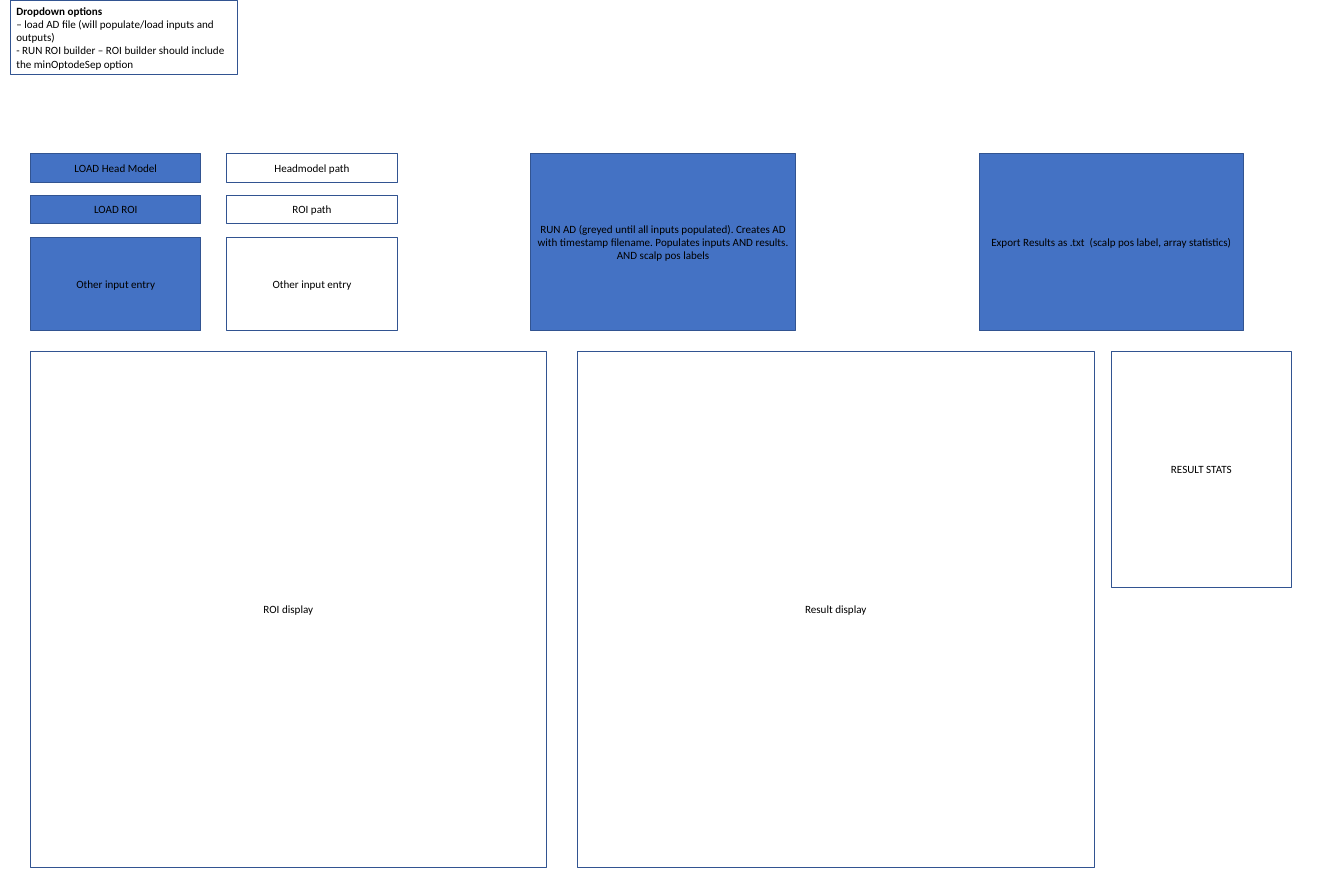
from dataclasses import dataclass

from pptx import Presentation
from pptx.dml.color import RGBColor
from pptx.enum.shapes import MSO_SHAPE
from pptx.enum.text import MSO_ANCHOR, PP_ALIGN
from pptx.slide import Slide
from pptx.util import Cm, Pt

RECTANGLE = MSO_SHAPE.RECTANGLE
MIDDLE = MSO_ANCHOR.MIDDLE
LEFT, CENTER = PP_ALIGN.LEFT, PP_ALIGN.CENTER

BUTTON_BLUE = RGBColor(0x44, 0x72, 0xC4)
OUTLINE_BLUE = RGBColor(0x32, 0x54, 0x91)
BLACK = RGBColor(0, 0, 0)
FONT_NAME = "Calibri"
FONT_SIZE = Pt(14)

# Shared grid, in centimetres
BUTTON_LEFT, FIELD_LEFT = 1.37, 10.13
INPUT_WIDTH = 7.6
CONTROL_TOP, CONTROL_HEIGHT = 6.86, 7.9
ACTION_WIDTH = 11.81
DISPLAY_TOP, DISPLAY_HEIGHT = 15.67, 23.04


@dataclass(frozen=True)
class Panel:
    text: str
    left: float
    top: float
    width: float
    height: float
    is_button: bool = False
    align: PP_ALIGN = CENTER
    has_heading: bool = False


@dataclass(frozen=True)
class InputRow:
    button: str
    field: str
    top: float
    height: float


INPUT_ROWS = [
    InputRow("LOAD Head Model", "Headmodel path", CONTROL_TOP, 1.27),
    InputRow("LOAD ROI", "ROI path", 8.71, 1.27),
    InputRow("Other input entry", "Other input entry", 10.59, 4.17),
]

DROPDOWN = Panel(
    "Dropdown options\n"
    "– load AD file (will populate/load inputs and outputs)\n"
    "- RUN ROI builder – ROI builder should include the minOptodeSep option",
    0.48, 0, 10.13, 3.33, align=LEFT, has_heading=True,
)

ACTIONS = [
    Panel("RUN AD (greyed until all inputs populated). Creates AD with timestamp "
          "filename. Populates inputs AND results. AND scalp pos labels",
          23.7, CONTROL_TOP, ACTION_WIDTH, CONTROL_HEIGHT, is_button=True),
    Panel("Export Results as .txt  (scalp pos label, array statistics)",
          43.71, CONTROL_TOP, ACTION_WIDTH, CONTROL_HEIGHT, is_button=True),
]

DISPLAYS = [
    Panel("ROI display", BUTTON_LEFT, DISPLAY_TOP, 23.01, DISPLAY_HEIGHT),
    Panel("Result display", 25.76, DISPLAY_TOP, 23.11, DISPLAY_HEIGHT),
    Panel("RESULT STATS", 49.61, DISPLAY_TOP, 8.05, 10.54),
]


def input_panels(row: InputRow) -> list[Panel]:
    """Return the button and the field beside it."""
    return [
        Panel(row.button, BUTTON_LEFT, row.top, INPUT_WIDTH, row.height, is_button=True),
        Panel(row.field, FIELD_LEFT, row.top, INPUT_WIDTH, row.height),
    ]


def draw_panel(slide: Slide, panel: Panel) -> None:
    box = slide.shapes.add_shape(
        RECTANGLE, Cm(panel.left), Cm(panel.top), Cm(panel.width), Cm(panel.height)
    )
    box.shadow.inherit = False
    if panel.is_button:
        box.fill.solid()
        box.fill.fore_color.rgb = BUTTON_BLUE
    else:
        box.fill.background()
    box.line.color.rgb = OUTLINE_BLUE
    box.line.width = Pt(1)

    frame = box.text_frame
    frame.word_wrap = True
    frame.vertical_anchor = MIDDLE
    frame.text = panel.text
    for index, paragraph in enumerate(frame.paragraphs):
        paragraph.alignment = panel.align
        for run in paragraph.runs:
            run.font.name = FONT_NAME
            run.font.size = FONT_SIZE
            run.font.color.rgb = BLACK
            run.font.bold = panel.has_heading and index == 0


def main() -> None:
    presentation = Presentation()
    presentation.slide_width = Cm(60)
    presentation.slide_height = Cm(40)
    blank_layout = presentation.slide_layouts[6]
    slide = presentation.slides.add_slide(blank_layout)

    # Dropdown, input rows, actions and displays
    inputs = [panel for row in INPUT_ROWS for panel in input_panels(row)]
    for panel in [DROPDOWN, *inputs, *ACTIONS, *DISPLAYS]:
        draw_panel(slide, panel)

    presentation.save("out.pptx")


if __name__ == "__main__":
    main()
